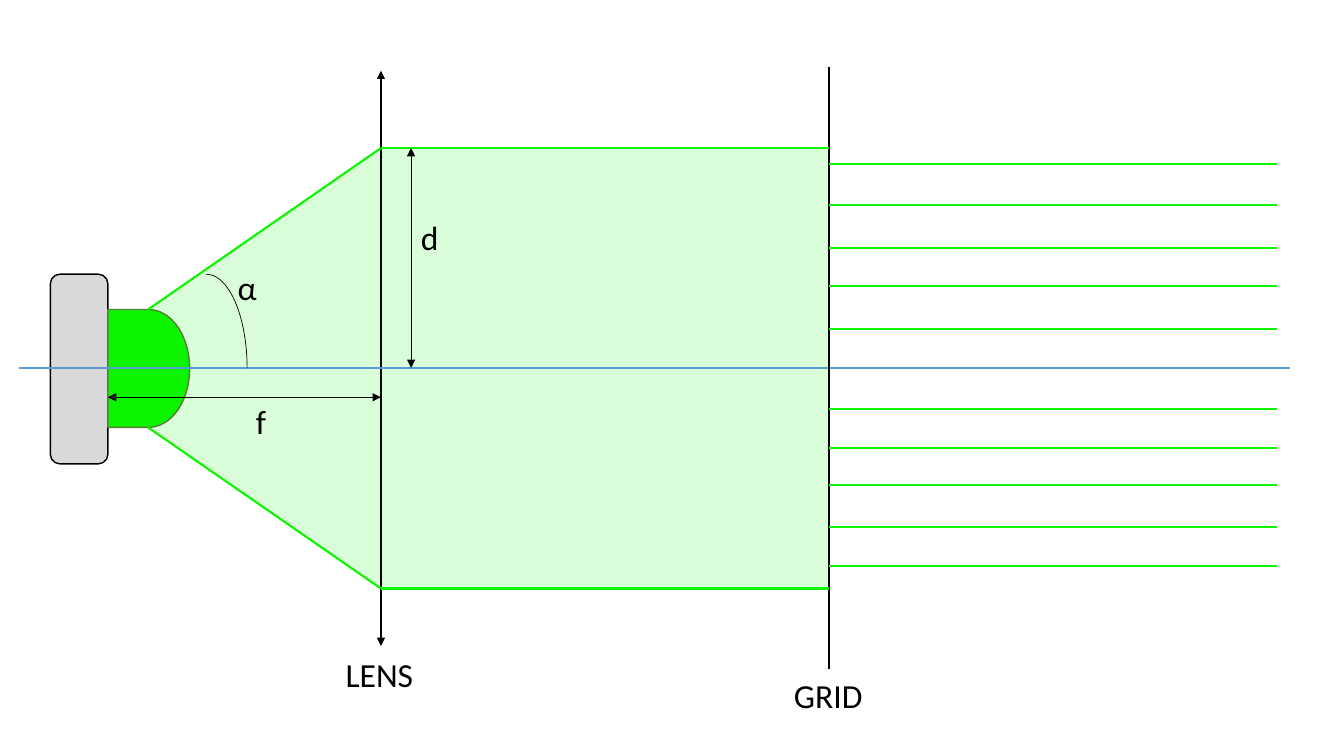
import dataclasses

import pptx
import pptx.dml.color
import pptx.enum.shapes
import pptx.enum.text
import pptx.oxml.ns
import pptx.util
from lxml import etree

Cm = pptx.util.Cm
Pt = pptx.util.Pt
SHAPE = pptx.enum.shapes.MSO_SHAPE


@dataclasses.dataclass(frozen=True)
class Theme:
    """Colours, line widths and type of the diagram."""

    font: str = "Calibri"
    label_size: float = 24
    ink: str = "000000"
    light: str = "0CF400"
    emitter_edge: str = "538035"
    housing: str = "D9D9D9"
    axis: str = "5B9BD5"
    beam_opacity: int = 15
    thin: float = 0.5
    outline: float = 1
    thick: float = 1.5


THEME = Theme()
AXIS_Y = 9.27
LENS_X, GRID_X, RAY_END_X = 9.6, 20.9, 32.18
BEAM_TOP, BEAM_BOTTOM = 3.73, 14.83
EMITTER_X, EMITTER_TOP, EMITTER_BOTTOM = 2.72, 7.8, 10.77
RAY_START_X = 3.73
RAY_HEIGHTS = (4.14, 5.16, 6.25, 7.21, 8.28, 10.31, 11.28, 12.22, 13.28, 14.27)


def rgb(colour):
    """Return a colour object for a hex string."""
    return pptx.dml.color.RGBColor.from_string(colour)


def add_child(parent, name, **attributes):
    """Append a DrawingML element to its parent."""
    return etree.SubElement(parent, pptx.oxml.ns.qn(name), attributes)


def add_figure(page, kind, left, top, width, height,
               fill=None, opacity=100, edge=None, edge_width=THEME.outline):
    """Add a preset shape with optional fill and outline."""
    shape = page.shapes.add_shape(kind, Cm(left), Cm(top), Cm(width), Cm(height))
    shape.shadow.inherit = False
    if fill:
        shape.fill.solid()
        shape.fill.fore_color.rgb = rgb(fill)
        if opacity < 100:
            colour = shape.fill._xPr.find(".//" + pptx.oxml.ns.qn("a:srgbClr"))
            add_child(colour, "a:alpha", val=str(opacity * 1000))
    else:
        shape.fill.background()
    if edge:
        shape.line.color.rgb = rgb(edge)
        shape.line.width = Pt(edge_width)
    else:
        shape.line.fill.background()
    return shape


def add_line(page, start, end, colour=THEME.ink, width=THEME.thick, arrows=False):
    """Add a straight line, with arrowheads at both ends if asked."""
    line = page.shapes.add_connector(
        pptx.enum.shapes.MSO_CONNECTOR.STRAIGHT,
        *(Cm(length) for length in (*start, *end)))
    line.line.color.rgb = rgb(colour)
    line.line.width = Pt(width)
    if arrows:
        for name in ("a:headEnd", "a:tailEnd"):
            add_child(line.line._get_or_add_ln(), name, type="triangle")
    add_child(line._element.spPr, "a:effectLst")


def add_label(page, text, left, top, width):
    """Add a one-line label."""
    box = page.shapes.add_textbox(Cm(left), Cm(top), Cm(width), Cm(1.28))
    box.text_frame.word_wrap = True
    box.text_frame.auto_size = pptx.enum.text.MSO_AUTO_SIZE.SHAPE_TO_FIT_TEXT
    span = box.text_frame.paragraphs[0].add_run()
    span.text = text
    span.font.name = THEME.font
    span.font.size = Pt(THEME.label_size)
    span.font.color.rgb = rgb(THEME.ink)


def add_beam(page):
    """Add the widening cone and the parallel beam."""
    cone = add_figure(page, SHAPE.ISOSCELES_TRIANGLE, 0.08, 5.33, 11.07, 7.92,
                      fill=THEME.light, opacity=THEME.beam_opacity)
    cone.rotation = 270
    add_figure(page, SHAPE.RECTANGLE, LENS_X, BEAM_TOP,
               GRID_X - LENS_X, BEAM_BOTTOM - BEAM_TOP,
               fill=THEME.light, opacity=THEME.beam_opacity)


def add_source(page):
    """Add the light source: housing and emitter."""
    add_figure(page, SHAPE.ROUNDED_RECTANGLE, 1.27, 6.91, 1.45, 4.78,
               fill=THEME.housing, edge=THEME.ink)
    add_figure(page, SHAPE.FLOWCHART_DELAY, EMITTER_X, EMITTER_TOP,
               2.06, EMITTER_BOTTOM - EMITTER_TOP,
               fill=THEME.light, edge=THEME.emitter_edge)


def add_optics(page):
    """Add the lens, the optical axis, the grid and the light rays."""
    add_line(page, (LENS_X, 1.78), (LENS_X, 16.28), arrows=True)
    add_line(page, (0.48, AXIS_Y), (32.51, AXIS_Y), THEME.axis)
    add_line(page, (GRID_X, 1.68), (GRID_X, 16.87))
    for emitter_y, beam_y in ((EMITTER_TOP, BEAM_TOP), (EMITTER_BOTTOM, BEAM_BOTTOM)):
        add_line(page, (RAY_START_X, emitter_y), (LENS_X, beam_y), THEME.light)
        add_line(page, (LENS_X, beam_y), (GRID_X, beam_y), THEME.light)
    for ray_y in RAY_HEIGHTS:
        add_line(page, (GRID_X, ray_y), (RAY_END_X, ray_y), THEME.light)


def add_dimensions(page):
    """Add the angle, the distances and all labels."""
    add_figure(page, SHAPE.ARC, 4.17, 6.91, 2.06, 4.75,
               edge=THEME.ink, edge_width=THEME.thin)
    for start, end in (((10.36, BEAM_TOP), (10.36, AXIS_Y)),
                       ((EMITTER_X, 10.01), (LENS_X, 10.01))):
        add_line(page, start, end, width=THEME.thin, arrows=True)
    for label in (("α", 5.74, 6.6, 2.13),
                  ("d", 10.36, 5.33, 0.9),
                  ("f", 6.2, 9.98, 0.66),
                  ("LENS", 8.46, 16.36, 2.31),
                  ("GRID", 19.76, 16.89, 2.28)):
        add_label(page, *label)


def main():
    """Build the collimated light diagram."""
    deck = pptx.Presentation()
    deck.slide_width, deck.slide_height = Cm(33.87), Cm(19.05)
    page = deck.slides.add_slide(deck.slide_layouts.get_by_name("Blank"))
    add_beam(page)
    add_source(page)
    add_optics(page)
    add_dimensions(page)
    deck.save("out.pptx")


main()
